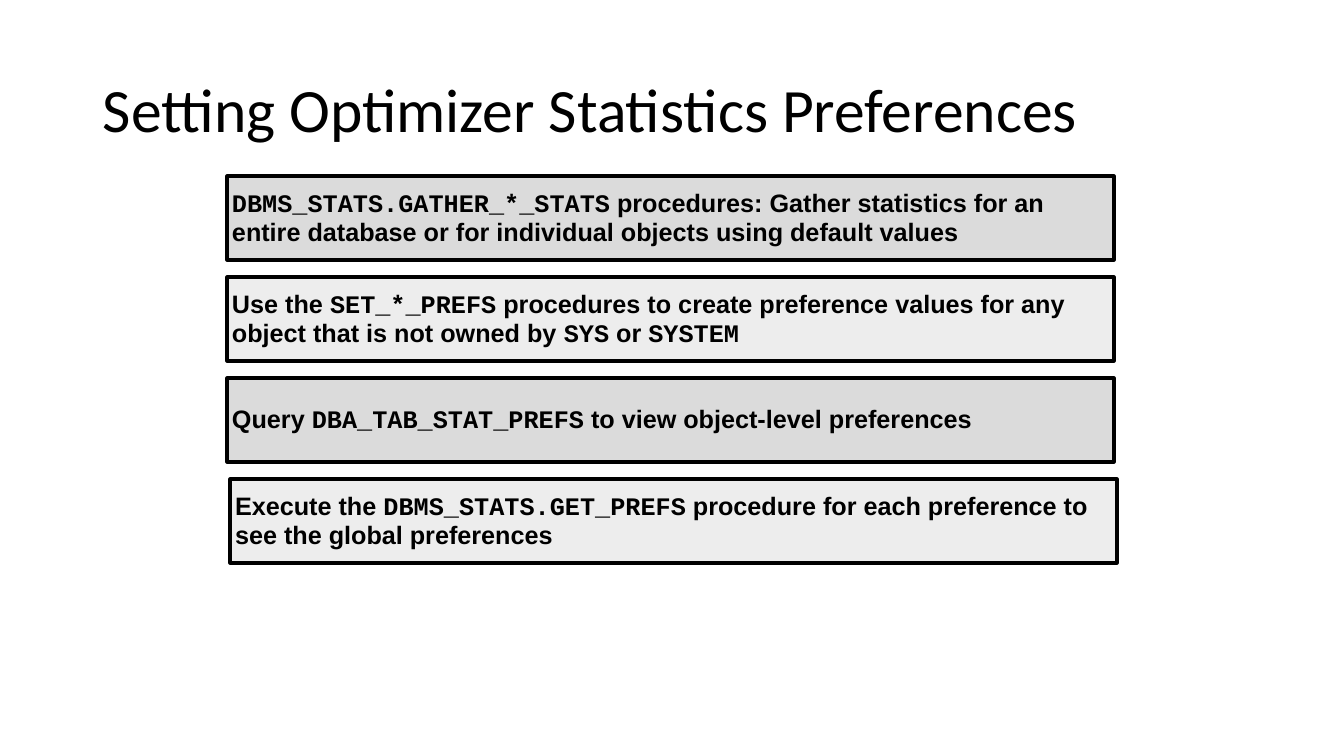
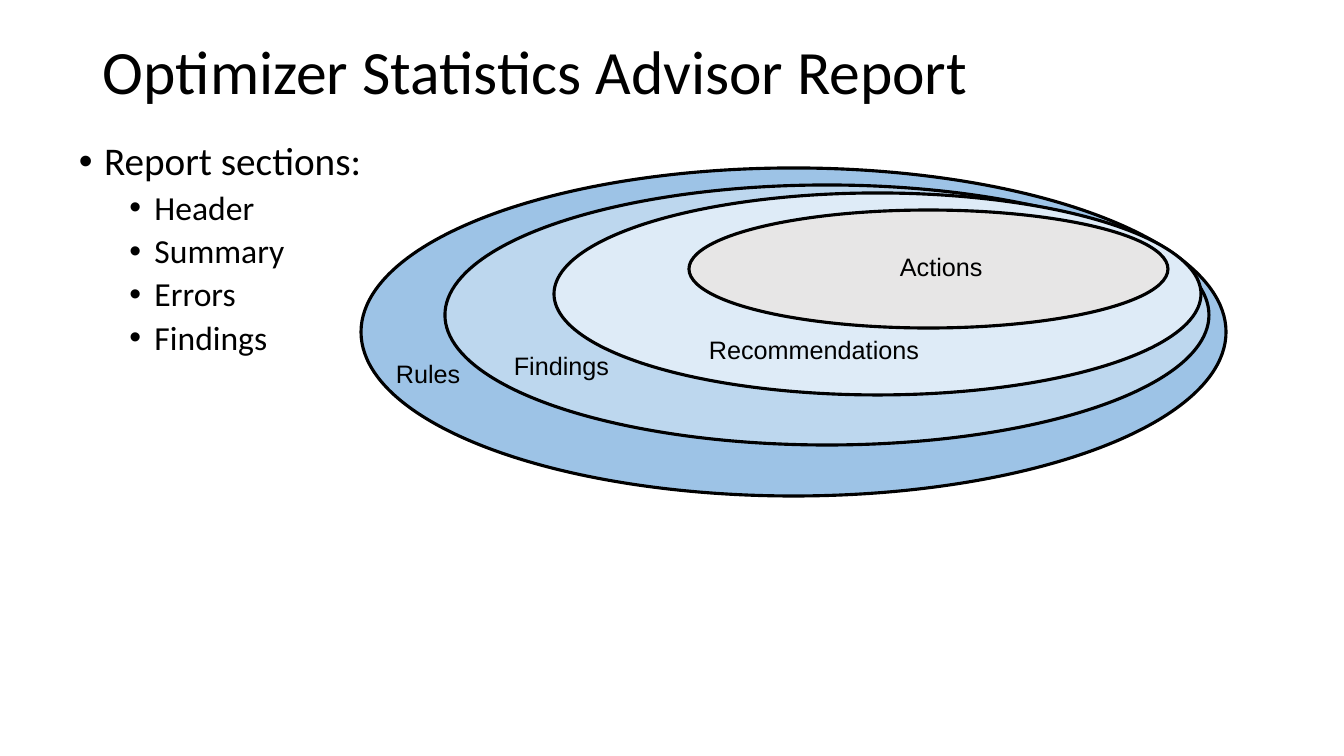
from dataclasses import dataclass

from lxml import etree
from pptx import Presentation
from pptx import util as u
from pptx.dml import color
from pptx.enum import shapes, text
from pptx.oxml import ns

PIXELS_PER_INCH = 100.8


@dataclass(frozen=True)
class Theme:
    ink: str = "000000"
    dark_band: str = "DBDBDB"
    light_band: str = "EDEDED"
    rules: str = "9DC3E6"
    findings: str = "BDD7EE"
    recommendations: str = "DEEBF7"
    actions: str = "E7E6E6"
    body_font: str = "Calibri"
    label_font: str = "Arial"
    code_font: str = "Courier New"
    title_size: int = 44
    section_size: int = 28
    item_size: int = 24
    label_size: int = 18
    outline: float = 2.25


THEME = Theme()


@dataclass(frozen=True)
class Area:
    left: int
    top: int
    width: int
    height: int


@dataclass(frozen=True)
class Span:
    words: str
    font: str = THEME.label_font


@dataclass(frozen=True)
class Band:
    left: int
    fill: str
    spans: tuple[Span, ...]


@dataclass(frozen=True)
class Ring:
    area: Area
    fill: str
    label: str
    label_area: Area


@dataclass(frozen=True)
class Bullet:
    words: str
    level: int = 0


TITLE_AREA = Area(93, 40, 1159, 146)
BODY_AREA = Area(69, 137, 1207, 233)
BAND_TOP, BAND_PITCH, BAND_WIDTH, BAND_HEIGHT = 176, 101, 887, 84
BAND_INSET = 5
RAISED_TITLE_INSET = 81


def code(words: str) -> Span:
    return Span(words, THEME.code_font)


BANDS = (
    Band(227, THEME.dark_band, (
        code("DBMS_STATS.GATHER_*_STATS"),
        Span(" procedures: Gather statistics for an entire database or for "
             "individual objects using default values"),
    )),
    Band(227, THEME.light_band, (
        Span("Use the "),
        code("SET_*_PREFS"),
        Span(" procedures to create preference values for any object "
             "that is not owned by "),
        code("SYS"),
        Span(" or "),
        code("SYSTEM"),
    )),
    Band(227, THEME.dark_band, (
        Span("Query "),
        code("DBA_TAB_STAT_PREFS"),
        Span(" to view object-level preferences"),
    )),
    Band(230, THEME.light_band, (
        Span("Execute the "),
        code("DBMS_STATS.GET_PREFS"),
        Span(" procedure for each preference to see the global preferences"),
    )),
)

BULLETS = (
    Bullet("Report sections:"),
    Bullet("Header", 1),
    Bullet("Summary", 1),
    Bullet("Errors", 1),
    Bullet("Findings", 1),
)

RINGS = (
    Ring(Area(361, 168, 865, 328), THEME.rules,
         "Rules", Area(386, 353, 86, 40)),
    Ring(Area(445, 185, 764, 260), THEME.findings,
         "Findings", Area(504, 345, 117, 40)),
    Ring(Area(554, 193, 647, 202), THEME.recommendations,
         "Recommendations", Area(699, 329, 233, 40)),
    Ring(Area(689, 210, 479, 118), THEME.actions,
         "Actions", Area(890, 246, 104, 40)),
)


def px(pixels: int) -> u.Emu:
    return u.Emu(round(pixels * 914400 / PIXELS_PER_INCH))


def place(area: Area) -> tuple[u.Emu, ...]:
    return px(area.left), px(area.top), px(area.width), px(area.height)


def rgb(value: str) -> color.RGBColor:
    return color.RGBColor.from_string(value)


def add_span(para, span: Span, size: int, bold: bool = False) -> None:
    run = para.add_run()
    run.text = span.words
    run.font.name = span.font
    run.font.size = u.Pt(size)
    run.font.bold = bold
    run.font.color.rgb = rgb(THEME.ink)


def add_text_box(page, area: Area, wrap: bool = True):
    frame = page.shapes.add_textbox(*place(area)).text_frame
    frame.word_wrap = wrap
    return frame


def add_outlined(page, kind: shapes.MSO_SHAPE, area: Area, fill: str):
    shape = page.shapes.add_shape(kind, *place(area))
    shape.shadow.inherit = False
    shape.fill.solid()
    shape.fill.fore_color.rgb = rgb(fill)
    shape.line.color.rgb = rgb(THEME.ink)
    shape.line.width = u.Pt(THEME.outline)
    return shape


def add_title(page, words: str, bottom_inset: int = BAND_INSET) -> None:
    frame = add_text_box(page, TITLE_AREA)
    frame.vertical_anchor = text.MSO_ANCHOR.MIDDLE
    frame.margin_bottom = px(bottom_inset)
    para = frame.paragraphs[0]
    para.line_spacing = 0.9
    add_span(para, Span(words, THEME.body_font), THEME.title_size)


def add_band(page, band: Band, row: int) -> None:
    area = Area(band.left, BAND_TOP + row * BAND_PITCH, BAND_WIDTH, BAND_HEIGHT)
    frame = add_outlined(page, shapes.MSO_SHAPE.RECTANGLE, area, band.fill).text_frame
    frame.word_wrap = True
    frame.vertical_anchor = text.MSO_ANCHOR.MIDDLE
    frame.margin_left = frame.margin_right = px(BAND_INSET)
    frame.margin_top = frame.margin_bottom = px(BAND_INSET)
    para = frame.paragraphs[0]
    para.alignment = text.PP_ALIGN.LEFT
    para.line_spacing = 0.95
    for span in band.spans:
        add_span(para, span, THEME.label_size, bold=True)


def add_bullets(page, bullets: tuple[Bullet, ...]) -> None:
    frame = add_text_box(page, BODY_AREA)
    for index, bullet in enumerate(bullets):
        para = frame.add_paragraph() if index else frame.paragraphs[0]
        para.level = bullet.level
        para.line_spacing = 0.9
        para.space_before = u.Pt(5 if bullet.level else 10)
        properties = para._p.get_or_add_pPr()
        properties.set("marL", str(u.Inches(0.25 + 0.5 * bullet.level)))
        properties.set("indent", str(u.Inches(-0.25)))
        etree.SubElement(properties, ns.qn("a:buFont")).set("typeface", THEME.label_font)
        etree.SubElement(properties, ns.qn("a:buChar")).set("char", "•")
        size = THEME.item_size if bullet.level else THEME.section_size
        add_span(para, Span(bullet.words, THEME.body_font), size)


def add_ring(page, ring: Ring) -> None:
    add_outlined(page, shapes.MSO_SHAPE.OVAL, ring.area, ring.fill)
    frame = add_text_box(page, ring.label_area, wrap=False)
    frame.auto_size = text.MSO_AUTO_SIZE.SHAPE_TO_FIT_TEXT
    add_span(frame.paragraphs[0], Span(ring.label), THEME.label_size)


def add_page(deck):
    return deck.slides.add_slide(deck.slide_layouts[6])


def build_preferences(deck) -> None:
    page = add_page(deck)
    add_title(page, "Setting Optimizer Statistics Preferences")
    for row, band in enumerate(BANDS):
        add_band(page, band, row)


def build_report(deck) -> None:
    page = add_page(deck)
    add_title(page, "Optimizer Statistics Advisor Report", RAISED_TITLE_INSET)
    add_bullets(page, BULLETS)
    for ring in RINGS:
        add_ring(page, ring)


def main() -> None:
    deck = Presentation()
    deck.slide_width, deck.slide_height = px(1344), px(756)
    build_preferences(deck)
    build_report(deck)
    deck.save("out.pptx")


main()
